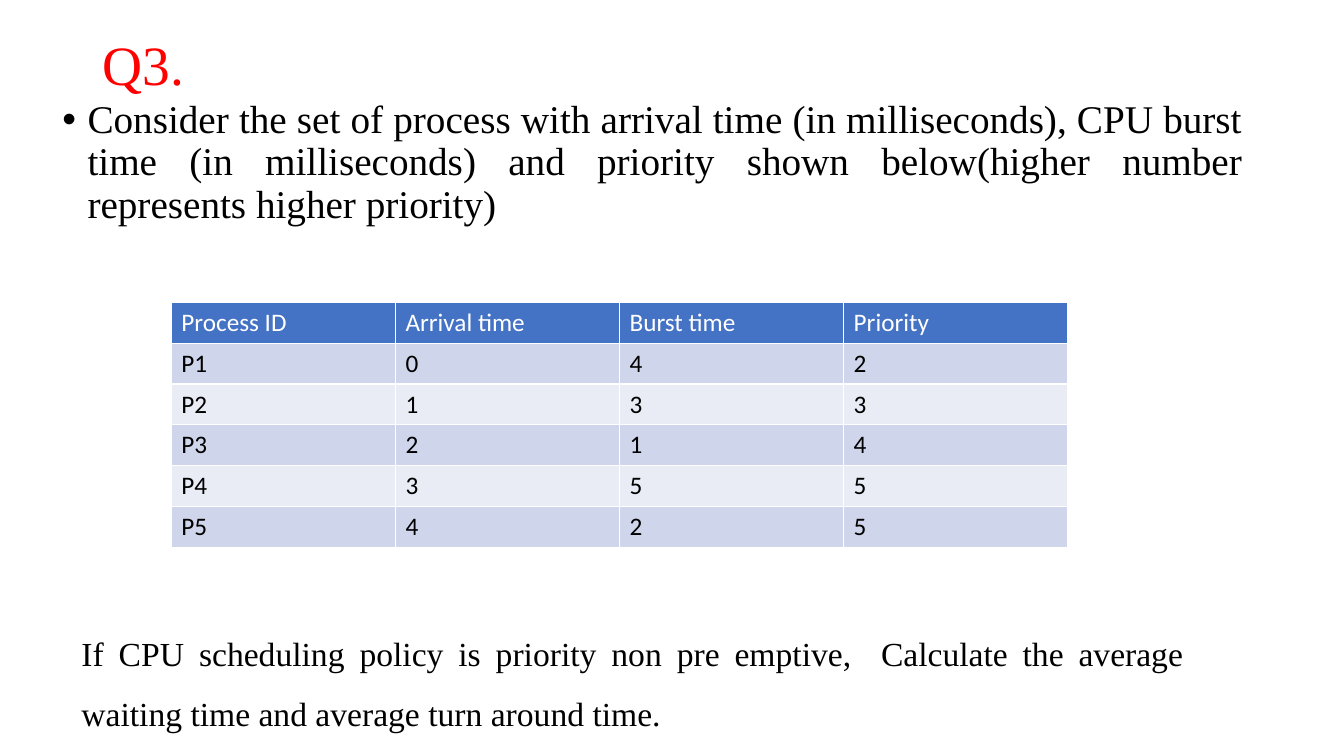
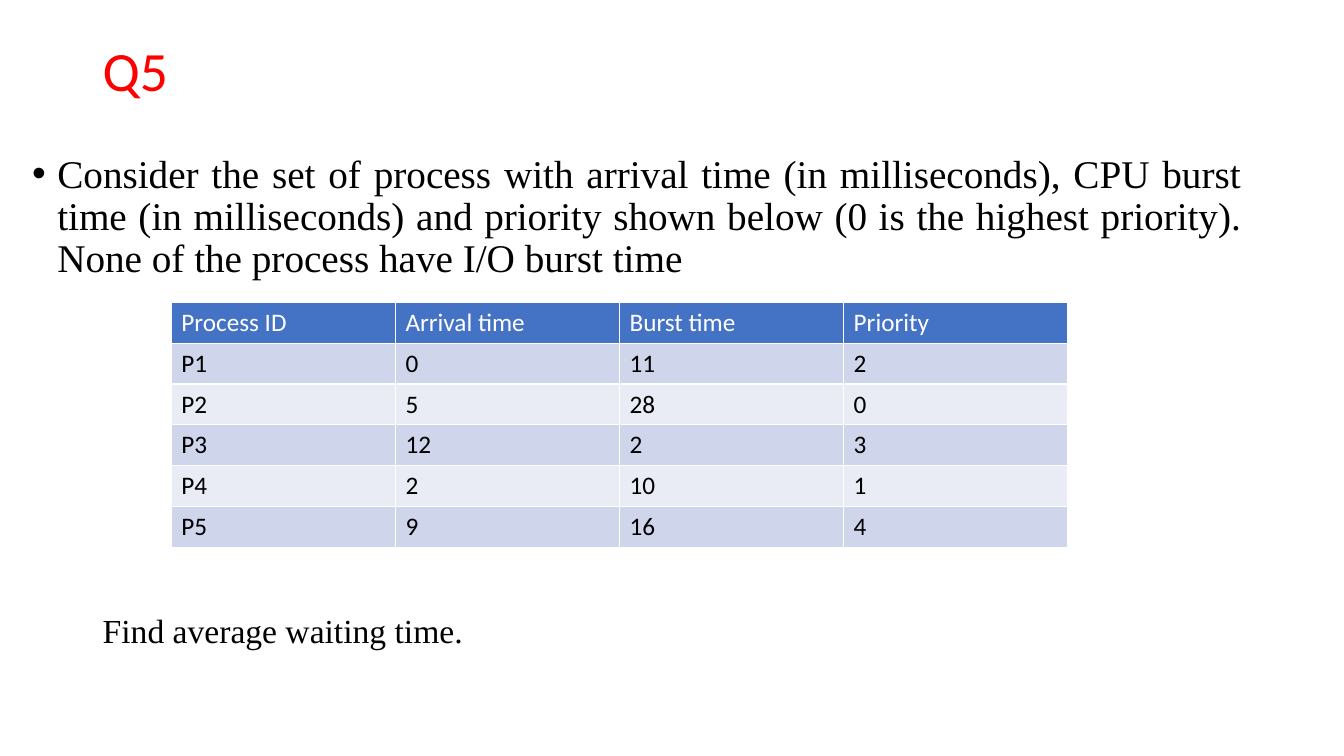
from dataclasses import dataclass

from lxml.etree import SubElement
from pptx import Presentation
from pptx.dml.color import RGBColor
from pptx.enum.text import MSO_ANCHOR, PP_ALIGN
from pptx.oxml.ns import qn
from pptx.slide import Slide
from pptx.text.text import _Paragraph
from pptx.util import Inches, Pt

RED = RGBColor(0xFF, 0x00, 0x00)
BLACK = RGBColor(0x00, 0x00, 0x00)
WHITE = RGBColor(0xFF, 0xFF, 0xFF)
BLUE = RGBColor(0x44, 0x72, 0xC4)
BANDS = (RGBColor(0xE9, 0xEB, 0xF5), RGBColor(0xCF, 0xD5, 0xEA))
SERIF = "Times New Roman"
SANS = "Calibri"
HEADS = ("Process ID", "Arrival time", "Burst time", "Priority")


@dataclass(frozen=True)
class Box:
    left: float
    top: float
    width: float
    height: float


@dataclass(frozen=True)
class Style:
    font: str
    size: float
    color: RGBColor = BLACK
    align: PP_ALIGN = PP_ALIGN.LEFT
    spacing: float = 1.0


@dataclass(frozen=True)
class Label:
    text: str
    box: Box
    style: Style


@dataclass(frozen=True)
class Problem:
    title: Label
    body: Label
    rows: tuple[tuple[int, int, int], ...]
    task: Label


GRID = Box(1.7, 3, 8.89, 2.43)
BODY = Style(SERIF, 28, align=PP_ALIGN.JUSTIFY, spacing=0.9)
TASK = Style(SERIF, 24)
HEAD = Style(SANS, 18, WHITE)
CELL = Style(SANS, 18)


def title_style(font: str) -> Style:
    return Style(font, 39.6, RED, spacing=0.9)


PROBLEMS = (
    Problem(
        Label("Q3.", Box(0.92, 0.4, 11.5, 0.54), title_style(SERIF)),
        Label(
            "Consider the set of process with arrival time (in milliseconds), "
            "CPU burst time (in milliseconds) and priority shown below"
            "(higher number represents higher priority)",
            Box(0.52, 0.94, 11.9, 5.82),
            BODY,
        ),
        ((0, 4, 2), (1, 3, 3), (2, 1, 4), (3, 5, 5), (4, 2, 5)),
        Label(
            "If CPU scheduling policy is priority non pre emptive,  Calculate "
            "the average waiting time and average turn around time.",
            Box(0.71, 6.03, 11.13, 1.24),
            Style(SERIF, 24, align=PP_ALIGN.JUSTIFY, spacing=1.5),
        ),
    ),
    Problem(
        Label("Q5", Box(0.92, 0.4, 11.5, 0.65), title_style(SANS)),
        Label(
            "Consider the set of process with arrival time (in milliseconds), "
            "CPU burst time (in milliseconds) and priority shown below "
            "(0 is the highest priority). None of the process have I/O burst time",
            Box(0.22, 1.48, 12.19, 5.28),
            BODY,
        ),
        ((0, 11, 2), (5, 28, 0), (12, 2, 3), (2, 10, 1), (9, 16, 4)),
        Label("Find average waiting time.", Box(0.92, 6, 8.05, 0.5), TASK),
    ),
)


def format_text(para: _Paragraph, style: Style) -> None:
    para.alignment = style.align
    para.line_spacing = style.spacing
    for run in para.runs:
        run.font.name = style.font
        run.font.size = Pt(style.size)
        run.font.bold = False
        run.font.color.rgb = style.color


def add_bullet(para: _Paragraph) -> None:
    para.space_before = Pt(10)
    props = para._p.get_or_add_pPr()
    props.set("marL", str(Inches(0.25)))
    props.set("indent", str(Inches(-0.25)))
    SubElement(props, qn("a:buFont")).set("typeface", "Arial")
    SubElement(props, qn("a:buChar")).set("char", "•")


def add_label(
    slide: Slide, label: Label, anchor: MSO_ANCHOR = MSO_ANCHOR.TOP
) -> _Paragraph:
    box = label.box
    shape = slide.shapes.add_textbox(
        Inches(box.left), Inches(box.top), Inches(box.width), Inches(box.height)
    )
    frame = shape.text_frame
    frame.word_wrap = True
    frame.vertical_anchor = anchor
    frame.text = label.text
    para = frame.paragraphs[0]
    format_text(para, label.style)
    return para


def add_grid(slide: Slide, rows: tuple[tuple[int, int, int], ...]) -> None:
    lines = [HEADS] + [(f"P{i}", *row) for i, row in enumerate(rows, 1)]
    table = slide.shapes.add_table(
        len(lines), len(HEADS),
        Inches(GRID.left), Inches(GRID.top), Inches(GRID.width), Inches(GRID.height),
    ).table
    for i, line in enumerate(lines):
        for j, value in enumerate(line):
            cell = table.cell(i, j)
            cell.fill.solid()
            cell.fill.fore_color.rgb = BANDS[i % 2] if i else BLUE
            cell.text_frame.text = str(value)
            format_text(cell.text_frame.paragraphs[0], CELL if i else HEAD)


def main() -> None:
    deck = Presentation()
    deck.slide_width = Inches(13.33)
    deck.slide_height = Inches(7.5)
    for problem in PROBLEMS:
        slide = deck.slides.add_slide(deck.slide_layouts[6])
        add_label(slide, problem.title, MSO_ANCHOR.MIDDLE)
        add_bullet(add_label(slide, problem.body))
        add_grid(slide, problem.rows)
        add_label(slide, problem.task)
    deck.save("out.pptx")


if __name__ == "__main__":
    main()
